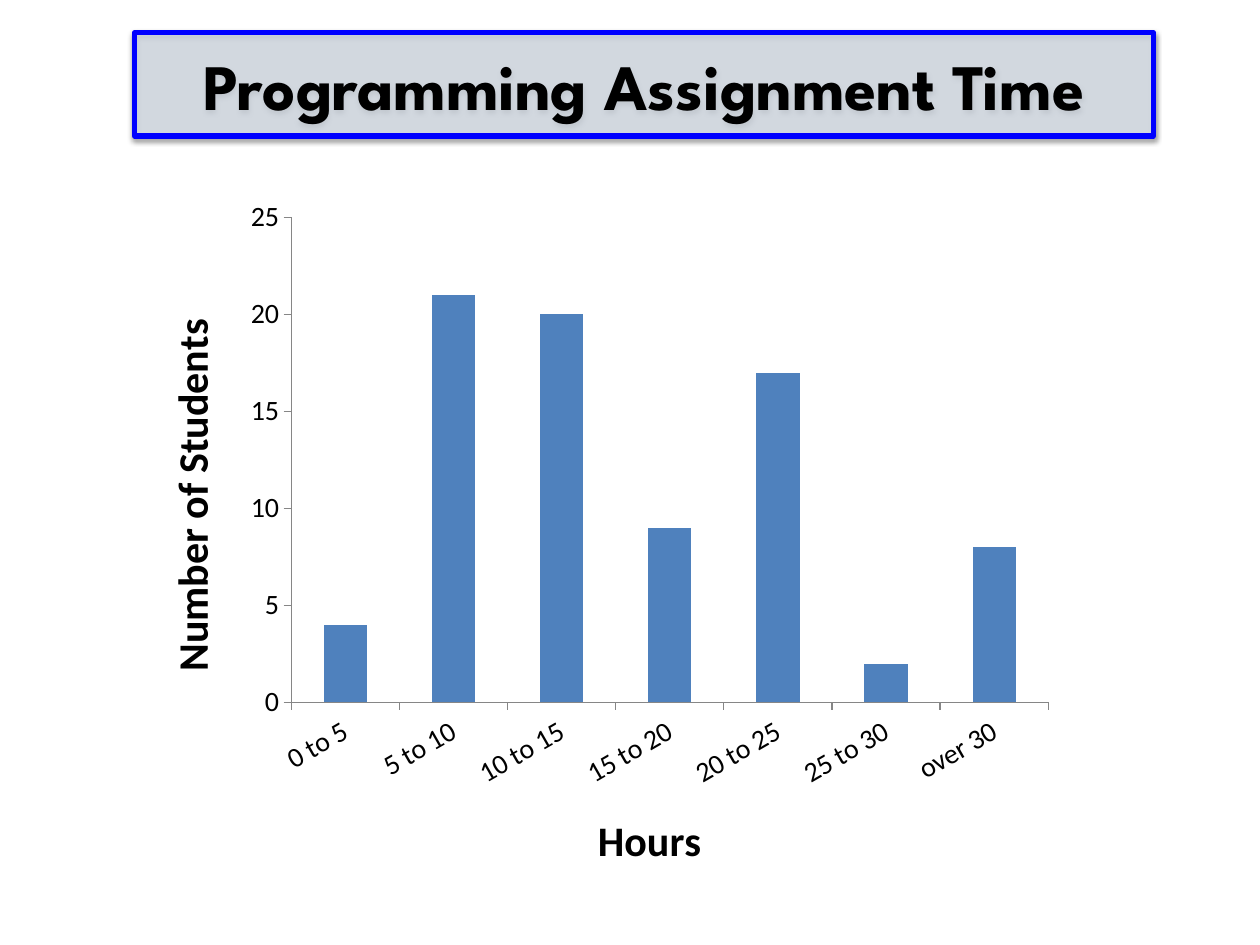
from lxml import etree
from pptx import Presentation
from pptx.chart.data import CategoryChartData
from pptx.dml.color import RGBColor
from pptx.enum.chart import XL_CHART_TYPE, XL_TICK_MARK
from pptx.enum.text import MSO_ANCHOR, MSO_AUTO_SIZE, PP_ALIGN
from pptx.oxml import parse_xml
from pptx.oxml.ns import nsdecls, qn
from pptx.util import Pt

COLUMN = XL_CHART_TYPE.COLUMN_CLUSTERED
TICK_OUT, TICK_NONE = XL_TICK_MARK.OUTSIDE, XL_TICK_MARK.NONE
MIDDLE = MSO_ANCHOR.MIDDLE
NO_AUTOFIT = MSO_AUTO_SIZE.NONE
CENTER = PP_ALIGN.CENTER

BLACK = RGBColor(0x00, 0x00, 0x00)
BLUE = RGBColor(0x00, 0x00, 0xFF)
PALE_BLUE = RGBColor(0xDC, 0xE6, 0xF2)
BAR_BLUE = RGBColor(0x4F, 0x81, 0xBD)
AXIS_GRAY = RGBColor(0x86, 0x86, 0x86)

STUDENTS_BY_HOURS = {
    "0 to 5": 4,
    "5 to 10": 21,
    "10 to 15": 20,
    "15 to 20": 9,
    "20 to 25": 17,
    "25 to 30": 2,
    "over 30": 8,
}

prs = Presentation()
prs.slide_width, prs.slide_height = Pt(720), Pt(540)
slide = prs.slides.add_slide(prs.slide_layouts[5])

heading = slide.shapes.title
heading.left, heading.top = Pt(77), Pt(18.7)
heading.width, heading.height = Pt(582), Pt(59)
heading.fill.solid()
heading.fill.fore_color.rgb = PALE_BLUE
fill_color = heading.fill._xPr.find(qn("a:solidFill"))[0]
etree.SubElement(fill_color, qn("a:alpha"), val="60000")
heading.line.color.rgb = BLUE
heading.line.width = Pt(3)
heading.element.spPr.append(parse_xml(
    f'<a:effectLst {nsdecls("a")}>'
    f'<a:outerShdw blurRad="{Pt(3.1)}" dist="{Pt(1.6)}" dir="5400000" rotWithShape="0">'
    '<a:srgbClr val="000000"><a:alpha val="38000"/></a:srgbClr>'
    '</a:outerShdw></a:effectLst>'))

heading_frame = heading.text_frame
heading_frame.text = "Programming Assignment Time"
heading_frame.word_wrap = True
heading_frame.auto_size = NO_AUTOFIT
heading_frame.vertical_anchor = MIDDLE
heading_line = heading_frame.paragraphs[0]
heading_line.alignment = CENTER
heading_line.font.name = "League Spartan"
heading_line.font.size = Pt(37)
heading_line.font.bold = True
heading_line.font.color.rgb = BLACK

student_data = CategoryChartData()
student_data.categories = list(STUDENTS_BY_HOURS)
student_data.add_series("Series 1", list(STUDENTS_BY_HOURS.values()))
chart = slide.shapes.add_chart(
    COLUMN, Pt(75.6), Pt(108), Pt(534.2), Pt(407.5), student_data).chart
chart.has_legend = False
chart.has_title = False
chart.font.name = "Calibri"
chart.font.size = Pt(10)
chart.font.color.rgb = BLACK

bars = chart.plots[0]
bars.gap_width = 150
bars.vary_by_categories = False
bars.series[0].format.fill.solid()
bars.series[0].format.fill.fore_color.rgb = BAR_BLUE

for axis, label in ((chart.category_axis, "Hours"),
                    (chart.value_axis, "Number of Students")):
    axis.has_major_gridlines = False
    axis.major_tick_mark = TICK_OUT
    axis.minor_tick_mark = TICK_NONE
    axis.format.line.color.rgb = AXIS_GRAY
    axis.format.line.width = Pt(0.75)
    axis.tick_labels.font.size = Pt(16)
    axis.tick_labels.font.color.rgb = BLACK
    axis.axis_title.text_frame.text = label
    label_font = axis.axis_title.text_frame.paragraphs[0].font
    label_font.name = "Calibri"
    label_font.size = Pt(24)
    label_font.bold = True
    label_font.color.rgb = BLACK

chart.value_axis.minimum_scale = 0
chart.value_axis.maximum_scale = 25
chart.value_axis.major_unit = 5
hour_labels = chart.category_axis._element.find(qn("c:txPr"))
hour_labels.find(qn("a:bodyPr")).set("rot", "-1800000")

plot_area = chart._chartSpace.chart.plotArea
for automatic_layout in plot_area.findall(qn("c:layout")):
    plot_area.remove(automatic_layout)
plot_area.insert(0, parse_xml(
    f'<c:layout {nsdecls("c")}><c:manualLayout><c:layoutTarget val="inner"/>'
    '<c:xMode val="edge"/><c:yMode val="edge"/>'
    '<c:x val="0.17"/><c:y val="0.04"/><c:w val="0.81"/><c:h val="0.68"/>'
    '</c:manualLayout></c:layout>'))

prs.save("out.pptx")
